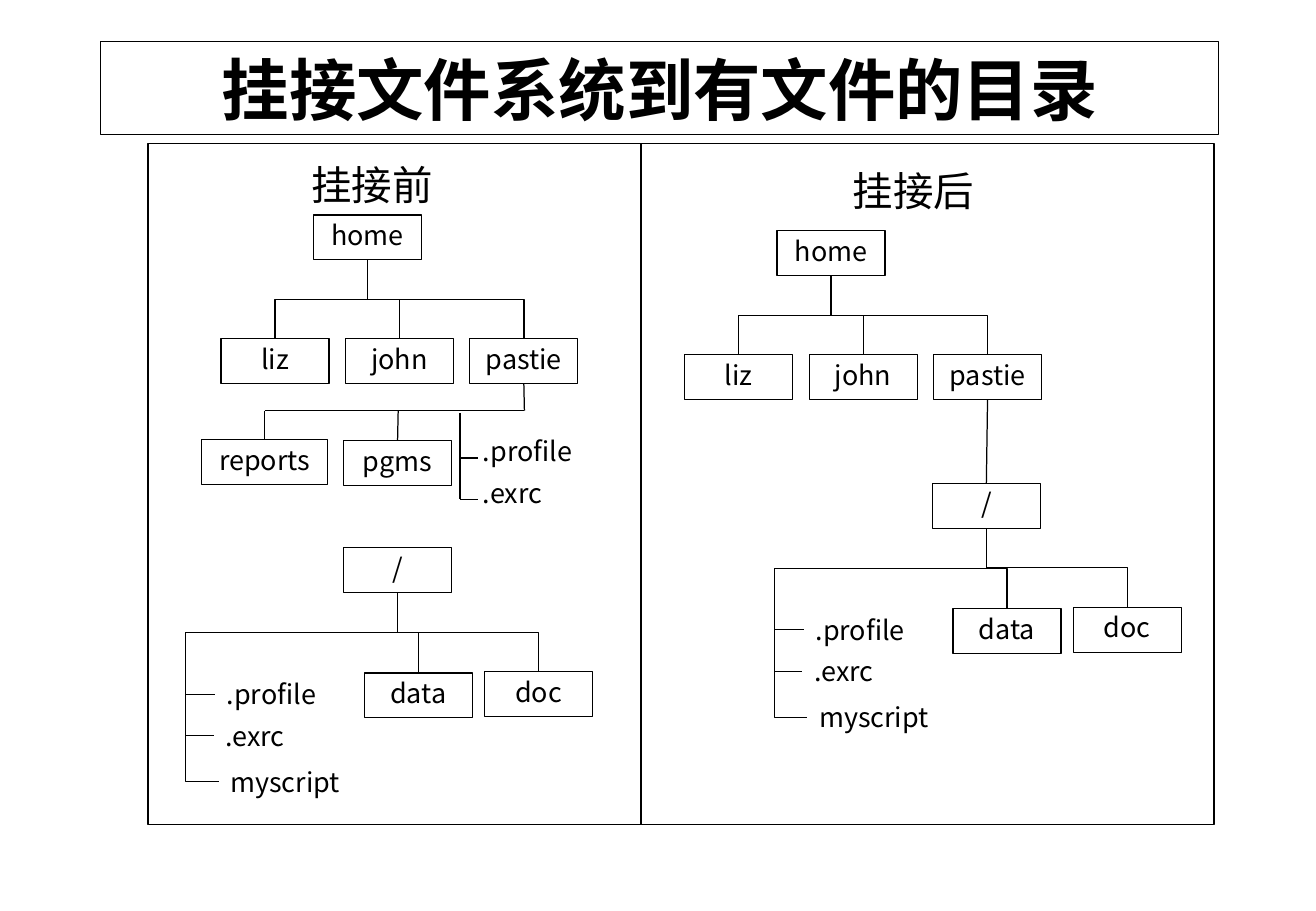
"""Build a slide comparing directory trees before and after mounting a file system."""
from lxml import etree
from pptx import Presentation
from pptx.dml.color import RGBColor
from pptx.enum.shapes import MSO_CONNECTOR, MSO_SHAPE
from pptx.enum.text import MSO_ANCHOR, MSO_AUTO_SIZE, PP_ALIGN
from pptx.oxml.ns import qn
from pptx.util import Inches, Pt

RECTANGLE = MSO_SHAPE.RECTANGLE
STRAIGHT, ELBOW = MSO_CONNECTOR.STRAIGHT, MSO_CONNECTOR.ELBOW
LEFT, CENTER = PP_ALIGN.LEFT, PP_ALIGN.CENTER
COLORS = {name: RGBColor.from_string(value)
          for name, value in {"ink": "000000", "paper": "FFFFFF"}.items()}
BODY_FONT, HEADING_FONT = "Noto Sans CJK SC", "Times New Roman"
NODE_WIDTH, NODE_HEIGHT = 0.89, 0.37
LABEL_WIDTH, LABEL_HEIGHT = 1.31, 0.33
NODE_PITCH, LEVEL_DROP = 1.025, 1.02

presentation = Presentation()
presentation.slide_width, presentation.slide_height = Inches(10.84), Inches(7.5)
slide = presentation.slides.add_slide(presentation.slide_layouts[5])
shapes = slide.shapes


def add_text(text, left, top, width=NODE_WIDTH, height=NODE_HEIGHT, boxed=True,
             align=CENTER, size=16, font=BODY_FONT):
    """Add a text box or an outlined node."""
    area = [Inches(value) for value in (left, top, width, height)]
    if boxed:
        shape = shapes.add_shape(RECTANGLE, *area)
        shape.shadow.inherit = False
        shape.fill.background()
        shape.line.color.rgb, shape.line.width = COLORS["ink"], Pt(0.75)
    else:
        shape = shapes.add_textbox(*area)
    frame = shape.text_frame
    frame.word_wrap, frame.vertical_anchor = True, MSO_ANCHOR.TOP
    frame.margin_top = Inches(0.03 if size == 16 else 0.05)
    paragraph = frame.paragraphs[0]
    paragraph.text, paragraph.alignment = text, align
    paragraph.font.name, paragraph.font.size = font, Pt(size)
    paragraph.font.color.rgb = COLORS["ink"]
    return shape


def add_line(kind, *ends):
    """Add a thin connector between two points."""
    line = shapes.add_connector(kind, *[Inches(value) for value in ends])
    line.line.color.rgb, line.line.width = COLORS["ink"], Pt(0.75)
    etree.SubElement(line._element.spPr, qn("a:effectLst"))
    return line


title = shapes.title
title.left, title.top = Inches(0.83), Inches(0.34)
title.width, title.height = Inches(9.21), Inches(0.77)
title.fill.solid()
title.fill.fore_color.rgb = COLORS["paper"]
title.line.color.rgb, title.line.width = COLORS["ink"], Pt(0.75)
title.text_frame.text = "挂接文件系统到有文件的目录"
title.text_frame.auto_size = MSO_AUTO_SIZE.NONE
title.text_frame.vertical_anchor = MSO_ANCHOR.MIDDLE
paragraph = title.text_frame.paragraphs[0]
paragraph.alignment = CENTER
paragraph.font.name, paragraph.font.size, paragraph.font.bold = HEADING_FONT, Pt(40), True
paragraph.font.color.rgb = COLORS["ink"]

frame = shapes.add_shape(RECTANGLE, Inches(1.22), Inches(1.18), Inches(8.78), Inches(5.61))
frame.shadow.inherit = False
frame.fill.background()
frame.line.color.rgb, frame.line.width = COLORS["ink"], Pt(0.75)
add_line(STRAIGHT, 5.28, 1.18, 5.28, 6.79)

panels = [
    ("挂接前", (2.1, 1.27), (2.58, 1.77), (2.83, 4.51)),
    ("挂接后", (6.56, 1.32), (6.4, 1.9), (7.68, 3.98)),
]
mounted_nodes = [("data", 0.17, 1.03), ("doc", 1.16, 1.02)]
mounted_files = [(".profile", -1.06, 1.04), (".exrc", -1.07, 1.38), ("myscript", -1.03, 1.76)]
branches, pasties, roots = [], [], []

for heading, heading_at, (home_left, home_top), (root_left, root_top) in panels:
    add_text(heading, *heading_at, 1.93, 0.5, boxed=False, size=24, font=HEADING_FONT)
    add_text("home", home_left, home_top)
    home_exit = (home_left + NODE_WIDTH / 2, home_top + NODE_HEIGHT)
    for index, name in enumerate(["liz", "john", "pastie"]):
        left, top = home_left - 0.76 + index * NODE_PITCH, home_top + LEVEL_DROP
        node = add_text(name, left, top)
        branches.append((home_exit, (left + NODE_WIDTH / 2, top), [0.5]))
    pasties.append(node)

    roots.append(add_text("/", root_left, root_top))
    root_exit = (root_left + NODE_WIDTH / 2, root_top + NODE_HEIGHT)
    for name, across, down in mounted_nodes:
        left, top = root_left + across, root_top + down
        add_text(name, left, top)
        branches.append((root_exit, (left + NODE_WIDTH / 2, top), [0.5]))
    for name, across, down in mounted_files:
        left, top = root_left + across, root_top + down
        add_text(name, left, top, LABEL_WIDTH, LABEL_HEIGHT, boxed=False, align=LEFT)
        end = (left, top + LABEL_HEIGHT / 2)
        spine = root_exit[0] - (root_left - 1.3)
        bends = [0.33 / (end[1] - root_exit[1]), spine / (root_exit[0] - left)]
        branches.append((root_exit, end, bends))

for (start_x, start_y), (end_x, end_y), bends in branches:
    drop, reach = end_y - start_y, abs(end_x - start_x)
    left = (start_x + end_x - drop) / 2
    top = (start_y + end_y - reach) / 2
    near, far = (left, left + drop) if end_x < start_x else (left + drop, left)
    branch = add_line(ELBOW, near, top, far, top + reach)
    properties = branch._element.spPr
    properties.find(qn("a:xfrm")).set("rot", str((90 if end_x < start_x else 270) * 60000))
    geometry = properties.find(qn("a:prstGeom"))
    geometry.set("prst", f"bentConnector{len(bends) + 2}")
    guides = geometry.find(qn("a:avLst"))
    for number, bend in enumerate(bends, 1):
        etree.SubElement(guides, qn("a:gd"), name=f"adj{number}",
                         fmla=f"val {round(bend * 100000)}")

mount = add_line(STRAIGHT, 8.12, 3.28, 8.12, 3.98)
mount.begin_connect(pasties[1], 2)
mount.end_connect(roots[1], 0)

reports = add_text("reports", 1.66, 3.62, width=1.04)
programs = add_text("pgms", 2.83, 3.63)
for name, top in [(".profile", 3.55), (".exrc", 3.89)]:
    add_text(name, 3.88, top, LABEL_WIDTH, LABEL_HEIGHT, boxed=False, align=LEFT)
stem = add_line(STRAIGHT, 4.32, 3.16, 4.32, 3.38)
stem.begin_connect(pasties[0], 2)
add_line(STRAIGHT, 4.32, 3.38, 2.18, 3.38)
for node, center, top in [(reports, 2.18, 3.62), (programs, 3.28, 3.63)]:
    add_line(STRAIGHT, center, 3.38, center, top).end_connect(node, 0)
add_line(STRAIGHT, 3.79, 3.4, 3.79, 4.11)
for level in (3.77, 4.11):
    add_line(STRAIGHT, 3.79, level, 3.94, level)

presentation.save("out.pptx")
